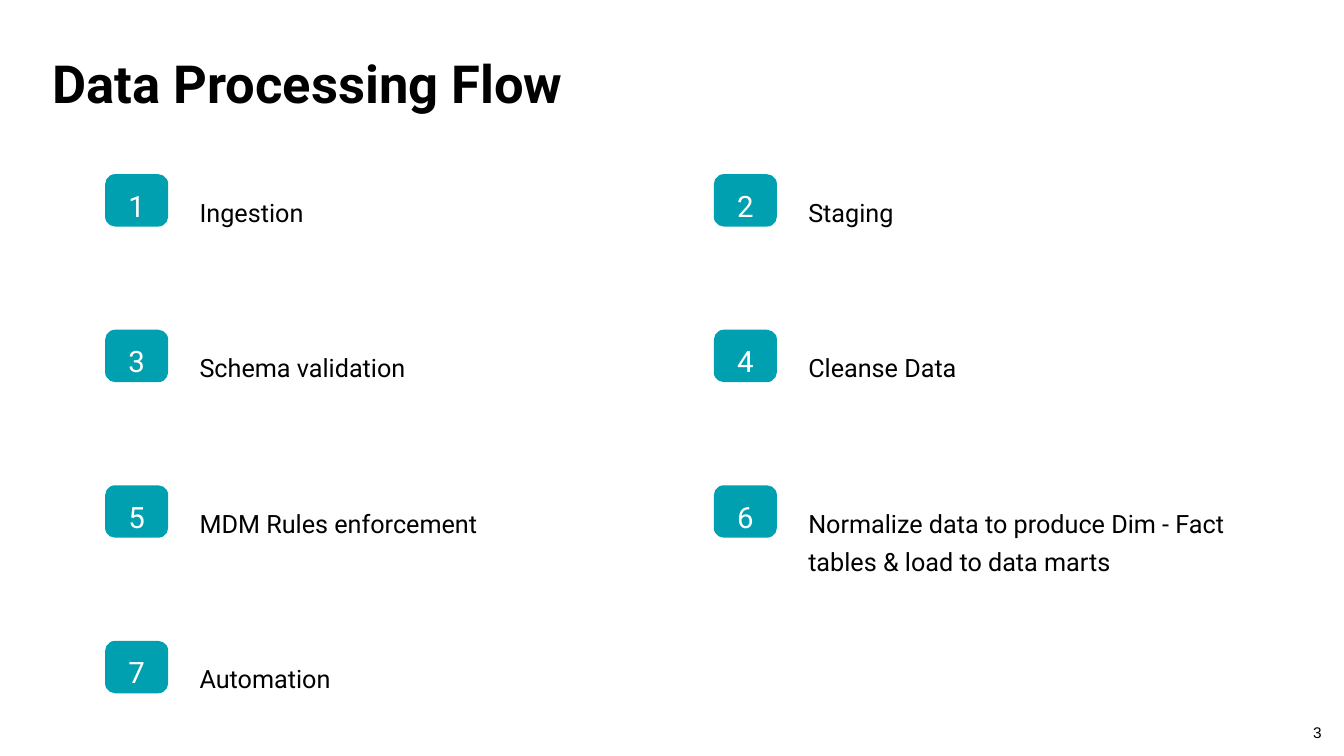
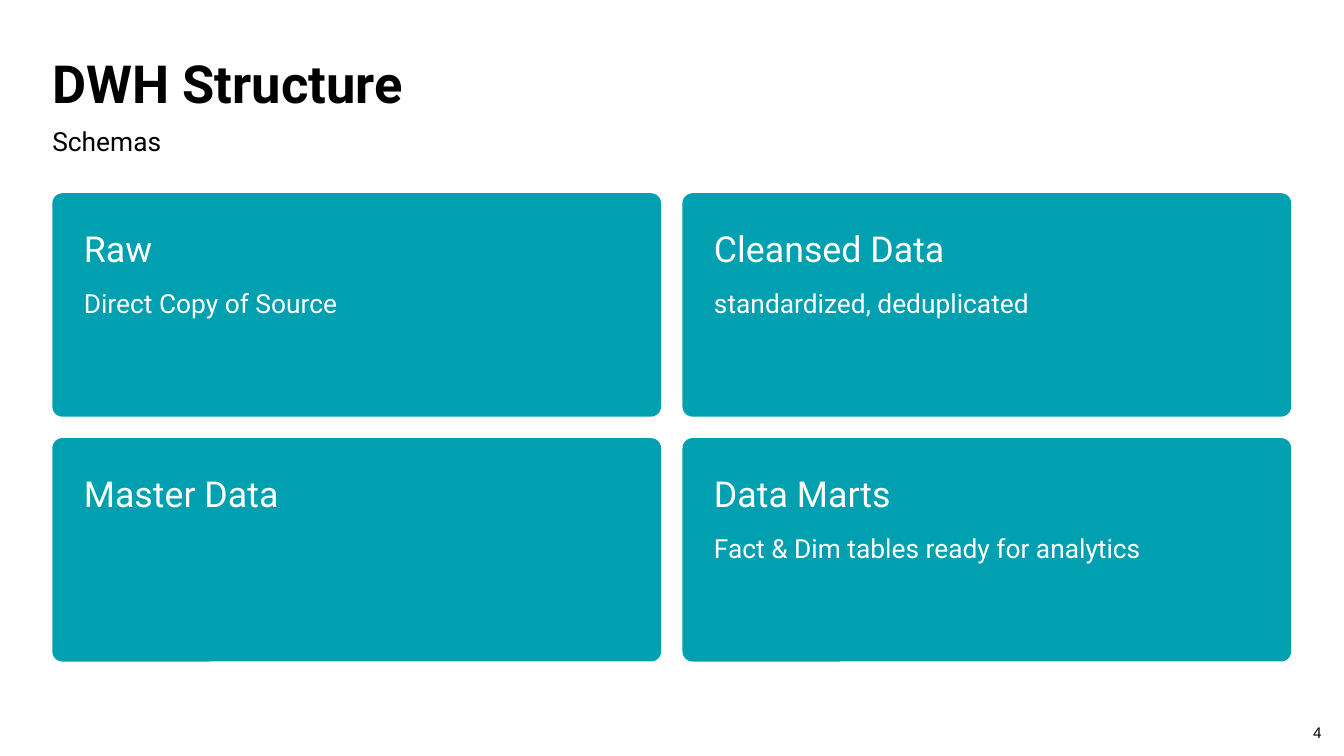
from pptx import Presentation
from pptx.dml.color import RGBColor
from pptx.enum.shapes import MSO_SHAPE
from pptx.enum.text import MSO_ANCHOR, MSO_AUTO_SIZE, PP_ALIGN
from pptx.util import Cm, Pt

ROUNDED = MSO_SHAPE.ROUNDED_RECTANGLE
TOP, MIDDLE = MSO_ANCHOR.TOP, MSO_ANCHOR.MIDDLE
LEFT, CENTER = PP_ALIGN.LEFT, PP_ALIGN.CENTER
NO_FIT = MSO_AUTO_SIZE.NONE

TEAL, BLACK, WHITE = "00A0B0", "000000", "FFFFFF"
MARGIN = 1.32
FIRST_NUMBER = 3


def color(value):
    return RGBColor.from_string(value)


def write(box, text, size=18, font="Roboto", ink=BLACK, bold=False, align=LEFT,
          anchor=TOP, spacing=1.28, before=0, inset=(0, 0)):
    frame = box.text_frame
    frame.word_wrap = True
    frame.auto_size = NO_FIT
    frame.vertical_anchor = anchor
    frame.margin_left = frame.margin_right = Cm(inset[0])
    frame.margin_top = frame.margin_bottom = Cm(inset[1])
    para = frame.add_paragraph() if frame.text else frame.paragraphs[0]
    para.alignment = align
    para.line_spacing = spacing
    para.space_before = Pt(before)
    span = para.add_run()
    span.text = text
    span.font.size = Pt(size)
    span.font.name = font
    span.font.bold = bold
    span.font.color.rgb = color(ink)


deck = Presentation()
deck.slide_width, deck.slide_height = Cm(33.87), Cm(19.05)
title_only = deck.slide_layouts[5]

pages = []
for number, heading in enumerate(["Data Processing Flow", "DWH Structure"], FIRST_NUMBER):
    page = deck.slides.add_slide(title_only)
    title = page.shapes.title
    title.left, title.top = Cm(MARGIN), Cm(1.07)
    title.width, title.height = Cm(31.2), Cm(1.5)
    write(title, heading, size=37.5, bold=True, spacing=1.14)
    number_box = page.shapes.add_textbox(Cm(32.84), Cm(18.08), Cm(1.02), Cm(0.84))
    write(number_box, str(number), size=11, font="Arial", spacing=1, inset=(0.25, 0.13))
    pages.append(page)

flow_page, schema_page = pages
panels = []

steps = [
    "Ingestion",
    "Staging",
    "Schema validation",
    "Cleanse Data",
    "MDM Rules enforcement",
    "Normalize data to produce Dim - Fact tables & load to data marts",
    "Automation",
]
for index, step in enumerate(steps):
    row, column = divmod(index, 2)
    left, top = 2.65 + column * 15.34, 4.39 + row * 3.92
    badge = flow_page.shapes.add_shape(ROUNDED, Cm(left), Cm(top), Cm(1.59), Cm(1.32))
    write(badge, str(index + 1), size=21, ink=WHITE, align=CENTER, anchor=MIDDLE)
    panels.append((badge, 0.19))
    label = flow_page.shapes.add_textbox(Cm(left + 2.38), Cm(top + 0.36), Cm(11.35), Cm(1.63))
    write(label, step)

subtitle = schema_page.shapes.add_textbox(Cm(MARGIN), Cm(2.82), Cm(31.2), Cm(0.94))
write(subtitle, "Schemas", size=18.8, spacing=1.42)

schemas = [
    ("Raw", "Direct Copy of Source"),
    ("Cleansed Data", "standardized, deduplicated"),
    ("Master Data", ""),
    ("Data Marts", "Fact & Dim tables ready for analytics"),
]
card_width, card_height, card_gap = 15.34, 5.63, 0.54
for index, (name, detail) in enumerate(schemas):
    row, column = divmod(index, 2)
    left = MARGIN + column * (card_width + card_gap)
    top = 4.87 + row * (card_height + card_gap)
    card = schema_page.shapes.add_shape(ROUNDED, Cm(left), Cm(top), Cm(card_width), Cm(card_height))
    write(card, name, size=25.5, ink=WHITE, inset=(0.72, 0.47))
    if detail:
        write(card, detail, size=18.8, ink=WHITE, spacing=1.42, before=3, inset=(0.72, 0.47))
    panels.append((card, 0.045))

for panel, rounding in panels:
    panel.adjustments[0] = rounding
    panel.shadow.inherit = False
    panel.fill.solid()
    panel.fill.fore_color.rgb = color(TEAL)
    panel.line.fill.background()

deck.save("out.pptx")
